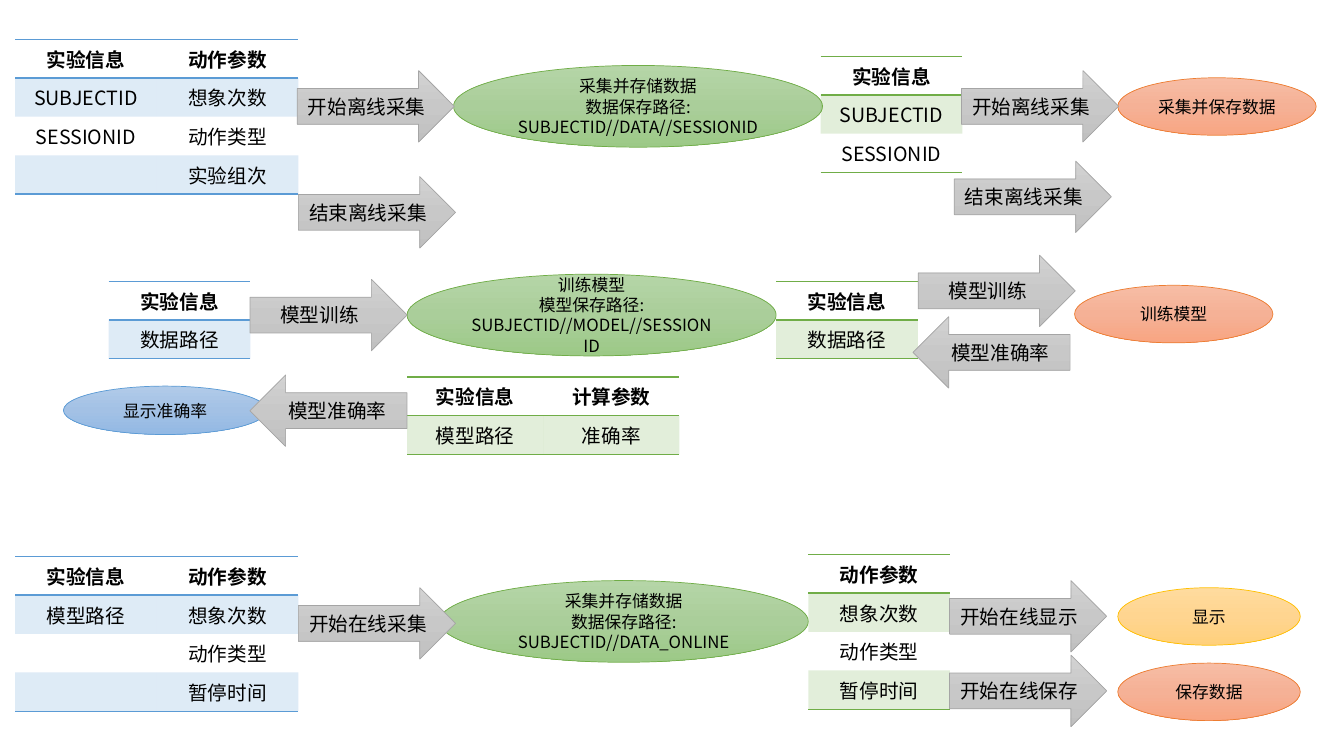
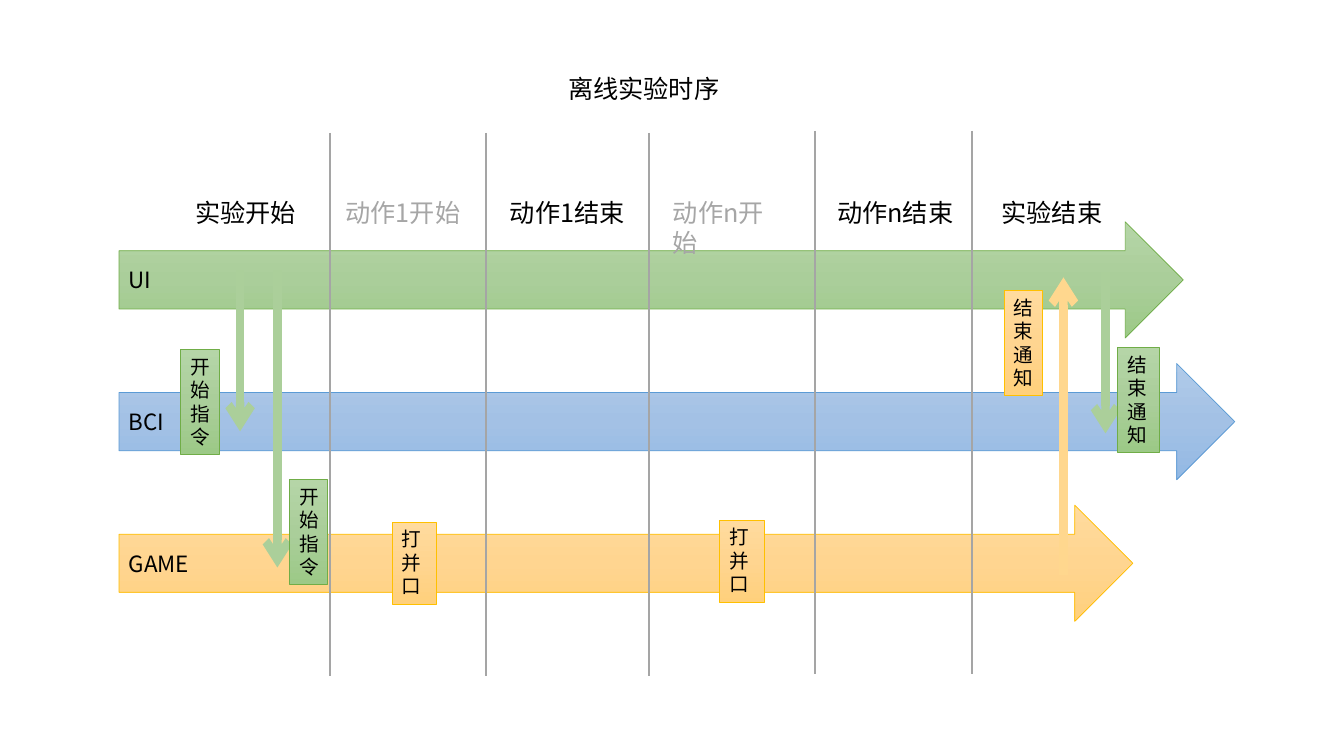
"""Build the two slides on experiment flow and offline timing."""
from lxml.etree import SubElement
from pptx import Presentation
from pptx.dml.color import RGBColor
from pptx.enum.shapes import MSO_CONNECTOR, MSO_SHAPE
from pptx.enum.text import MSO_ANCHOR, PP_ALIGN
from pptx.oxml.ns import qn
from pptx.util import Cm, Pt

FONT = "Noto Sans CJK SC"
BLACK, PALE, GRAY = "000000", "A6A6A6", "A5A5A5"
BLUE, GREEN = "5B9BD5", "70AD47"
NO_STYLE = "{2D5ABB26-0587-4C30-8999-92F81FD0307C}"
TONES = {
    "green": (GREEN, "B5D5A7", "AACE9A", "9CC987"),
    "blue": (BLUE, "B1CBE9", "A3C1E5", "93B9E4"),
    "gold": ("FFC000", "FFDB9E", "FFD590", "FFD07C"),
    "coral": ("ED7D31", "F7BDA5", "F5B196", "F8A582"),
    "gray": (GRAY, "D2D2D2", "C8C8C8", "C0C0C0"),
}

OVALS = [
    ("green", 11.43, 1.65, 9.3, 2.06, ["采集并存储数据", "数据保存路径: SUBJECTID//DATA//SESSIONID"]),
    ("green", 10.26, 6.91, 9.3, 2.06, ["训练模型", "模型保存路径: SUBJECTID//MODEL//SESSIONID"]),
    ("green", 11.07, 14.63, 9.3, 2.06, ["采集并存储数据", "数据保存路径: SUBJECTID//DATA_ONLINE"]),
    ("blue", 1.6, 9.73, 5.13, 1.22, ["显示准确率"]),
    ("coral", 28.17, 1.96, 5, 1.45, ["采集并保存数据"]),
    ("coral", 27.08, 7.19, 5, 1.45, ["训练模型"]),
    ("gold", 28.17, 14.81, 4.6, 1.45, ["显示"]),
    ("coral", 28.17, 16.71, 4.6, 1.45, ["保存数据"]),
]
GRIDS = [
    (BLUE, 0.38, 0.99, 3.57, [("实验信息", "动作参数"), ("SUBJECTID", "想象次数"),
                              ("SESSIONID", "动作类型"), ("", "实验组次")]),
    (BLUE, 0.38, 14.02, 3.57, [("实验信息", "动作参数"), ("模型路径", "想象次数"),
                               ("", "动作类型"), ("", "暂停时间")]),
    (BLUE, 2.74, 7.09, 3.57, [("实验信息",), ("数据路径",)]),
    (GREEN, 10.26, 9.5, 3.43, [("实验信息", "计算参数"), ("模型路径", "准确率")]),
    (GREEN, 20.68, 1.42, 3.57, [("实验信息",), ("SUBJECTID",), ("SESSIONID",)]),
    (GREEN, 20.37, 13.97, 3.57, [("动作参数",), ("想象次数",), ("动作类型",), ("暂停时间",)]),
    (GREEN, 19.56, 7.09, 3.57, [("实验信息",), ("数据路径",)]),
]
STEPS = [
    (7.49, 1.78, "开始离线采集", False),
    (7.52, 4.45, "结束离线采集", False),
    (6.3, 7.04, "模型训练", False),
    (6.3, 9.45, "模型准确率", True),
    (7.52, 14.81, "开始在线采集", False),
    (24.23, 1.78, "开始离线采集", False),
    (24.05, 4.06, "结束离线采集", False),
    (23.14, 6.43, "模型训练", False),
    (23.01, 7.98, "模型准确率", True),
    (23.93, 14.63, "开始在线显示", False),
    (23.93, 16.51, "开始在线保存", False),
]

LANES = [("green", 26.82, "UI"), ("blue", 28.12, "BCI"), ("gold", 25.55, "GAME")]
PHASES = [
    (4.67, 3.07, "实验开始", BLACK),
    (8.46, 3.4, "动作1开始", PALE),
    (12.6, 3.4, "动作1结束", BLACK),
    (16.71, 3.4, "动作n开始", PALE),
    (20.85, 3.43, "动作n结束", BLACK),
    (24.99, 3.07, "实验结束", BLACK),
]
FLOWS = [
    ("ABCF9A", 6.05, 6.81, 10.87),
    ("ABCF9A", 6.99, 6.81, 14.3),
    ("ABCF9A", 27.86, 6.86, 10.92),
    ("FFD78E", 26.8, 14.48, 6.99),
]
TAGS = [
    ("green", 4.55, 8.81, 0.97, 2.64, "开始指令"),
    ("green", 7.29, 12.09, 0.97, 2.64, "开始指令"),
    ("gold", 25.3, 7.32, 0.97, 2.64, "结束通知"),
    ("green", 28.17, 8.76, 1.04, 2.64, "结束通知"),
    ("gold", 9.88, 13.16, 1.12, 2.06, "打并口"),
    ("gold", 18.14, 13.11, 1.12, 2.06, "打并口"),
]
BARS = [(8.31, 3.35), (12.24, 3.35), (16.36, 3.35), (20.55, 3.3), (24.49, 3.3)]


def paint(code):
    """Turn a hex string into a colour."""
    return RGBColor.from_string(code)


def write(frame, lines, size, color=BLACK, align=PP_ALIGN.LEFT, bold=False):
    """Fill a text frame with one paragraph per line."""
    frame.word_wrap = True
    for num, line in enumerate(lines):
        para = frame.paragraphs[0] if num == 0 else frame.add_paragraph()
        para.alignment = align
        if not line:
            SubElement(para._p, qn("a:endParaRPr"), sz=str(size * 100))
            continue
        run = para.add_run()
        run.text = line
        font = run.font
        font.size, font.bold, font.name = Pt(size), bold, FONT
        font.color.rgb = paint(color)
        SubElement(font._element, qn("a:ea"), typeface=FONT)


def block(slide, kind, tone, x, y, wide, high):
    """Add a preset shape with a shaded fill and a thin edge."""
    shape = slide.shapes.add_shape(kind, Cm(x), Cm(y), Cm(wide), Cm(high))
    shape.shadow.inherit = False
    edge, *shades = TONES[tone]
    shape.fill.gradient()
    shape.fill.gradient_angle = 270
    stops = shape._element.spPr.find(".//" + qn("a:gsLst"))
    stops.clear()
    for num, shade in enumerate(shades):
        stop = SubElement(stops, qn("a:gs"), pos=str(num * 50000))
        SubElement(stop, qn("a:srgbClr"), val=shade)
    shape.line.color.rgb = paint(edge)
    shape.line.width = Pt(0.5)
    return shape


def oval(slide, tone, x, y, wide, high, lines):
    """Add an oval with centred text."""
    shape = block(slide, MSO_SHAPE.OVAL, tone, x, y, wide, high)
    write(shape.text_frame, lines, 12, align=PP_ALIGN.CENTER)


def step(slide, x, y, text, back):
    """Add a gray block arrow, turned left when it leads back."""
    shape = block(slide, MSO_SHAPE.RIGHT_ARROW, "gray", x, y, 3.96, 1.8)
    if back:
        shape._element.spPr.xfrm.set("flipH", "1")
    write(shape.text_frame, [text], 14, align=PP_ALIGN.CENTER)


def rule(cell, side, color):
    """Draw one border of a cell."""
    line = SubElement(cell._tc.get_or_add_tcPr(), qn("a:" + side), w=str(Pt(1)))
    fill = SubElement(line, qn("a:solidFill"))
    SubElement(fill, qn("a:srgbClr"), val=color)


def grid(slide, color, x, y, wide, rows):
    """Add a table with ruled ends and tinted odd rows."""
    count, cols = len(rows), len(rows[0])
    frame = slide.shapes.add_table(count, cols, Cm(x), Cm(y), Cm(wide * cols), Cm(0.85 * count))
    table = frame.table
    table.first_row = table.horz_banding = False
    table._tbl.tblPr.find(qn("a:tableStyleId")).text = NO_STYLE
    for r, row in enumerate(rows):
        for c, text in enumerate(row):
            cell = table.cell(r, c)
            cell.vertical_anchor = MSO_ANCHOR.MIDDLE
            write(cell.text_frame, [text], 14, align=PP_ALIGN.CENTER, bold=r == 0)
            if r == 0:
                rule(cell, "lnT", color)
            if r in (0, count - 1):
                rule(cell, "lnB", color)
            if r % 2:
                cell.fill.solid()
                cell.fill.fore_color.rgb = paint(color)
                tint = cell._tc.tcPr.find(qn("a:solidFill"))[0]
                SubElement(tint, qn("a:alpha"), val="20000")
            else:
                cell.fill.background()


def label(slide, x, y, wide, text, color=BLACK):
    """Add a line of plain text."""
    box = slide.shapes.add_textbox(Cm(x), Cm(y), Cm(wide), Cm(1.02))
    write(box.text_frame, [text], 18, color)


def lane(slide, tone, y, wide, text):
    """Add a long arrow that stands for one program."""
    shape = block(slide, MSO_SHAPE.RIGHT_ARROW, tone, 3, y, wide, 2.93)
    write(shape.text_frame, [text], 16)


def tag(slide, tone, x, y, wide, high, text):
    """Add a narrow box whose text runs down."""
    shape = block(slide, MSO_SHAPE.RECTANGLE, tone, x, y, wide, high)
    shape.text_frame.vertical_anchor = MSO_ANCHOR.TOP
    write(shape.text_frame, [text], 14)


def post(slide, color, x, start, end, width, head=False):
    """Add an upright line, with an arrowhead if asked."""
    line = slide.shapes.add_connector(MSO_CONNECTOR.STRAIGHT, Cm(x), Cm(start), Cm(x), Cm(end))
    line.line.color.rgb = paint(color)
    line.line.width = Pt(width)
    if head:
        SubElement(line.line._get_or_add_ln(), qn("a:tailEnd"), type="arrow")
    SubElement(line._element.spPr, qn("a:effectLst"))


def draw_flow(slide):
    """Draw the flow of messages."""
    for item in OVALS:
        oval(slide, *item)
    for item in GRIDS:
        grid(slide, *item)
    for item in STEPS:
        step(slide, *item)


def draw_time(slide):
    """Draw the offline timing chart."""
    label(slide, 14.07, 1.73, 4.37, "离线实验时序")
    for num, (tone, wide, text) in enumerate(LANES):
        lane(slide, tone, 5.59 + 3.57 * num, wide, text)
    for x, wide, text, color in PHASES:
        label(slide, x, 4.85, wide, text, color)
    for item in FLOWS:
        post(slide, *item, 6, head=True)
    for item in TAGS:
        tag(slide, *item)
    for x, top in BARS:
        post(slide, GRAY, x, top, top + 13.68, 1.5)


def main():
    """Build and save the deck."""
    deck = Presentation()
    deck.slide_width, deck.slide_height = Cm(33.87), Cm(19.05)
    for draw in (draw_flow, draw_time):
        draw(deck.slides.add_slide(deck.slide_layouts[6]))
    deck.save("out.pptx")


main()
